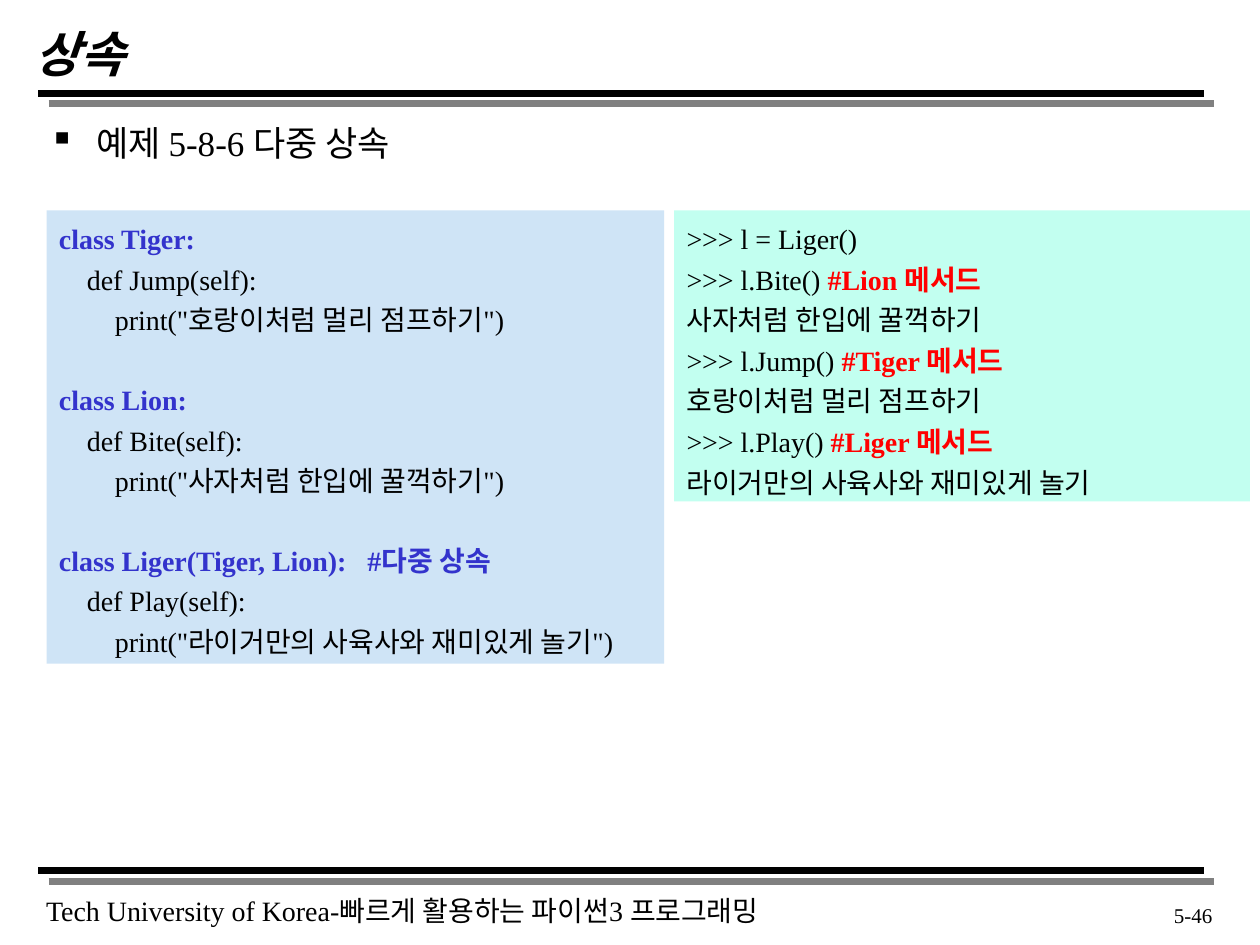
from lxml import etree
from pptx import Presentation
from pptx.dml.color import RGBColor
from pptx.enum.shapes import MSO_CONNECTOR, MSO_SHAPE
from pptx.enum.text import MSO_ANCHOR, PP_ALIGN
from pptx.oxml import parse_xml
from pptx.oxml.ns import nsdecls, qn
from pptx.util import Cm, Pt

BLACK = RGBColor(0x00, 0x00, 0x00)
BLUE = RGBColor(0x33, 0x33, 0xCC)
RED = RGBColor(0xFF, 0x00, 0x00)
PALE_BLUE = RGBColor(0xCF, 0xE4, 0xF6)
PALE_GREEN = RGBColor(0xC2, 0xFF, 0xF0)
FONT = "Times New Roman"
STRAIGHT, RECTANGLE = MSO_CONNECTOR.STRAIGHT, MSO_SHAPE.RECTANGLE
TOP, MIDDLE = MSO_ANCHOR.TOP, MSO_ANCHOR.MIDDLE
LEFT, RIGHT = PP_ALIGN.LEFT, PP_ALIGN.RIGHT

LINE_GAP = Pt(4)
BLOCK_GAP = Pt(26.3)

# Each block is a list of lines, each line a list of (text, highlighted).
CLASS_BLOCKS = [
    [[("class Tiger:", True)],
     [("    def Jump(self):", False)],
     [('        print("호랑이처럼 멀리 점프하기")', False)]],
    [[("class Lion:", True)],
     [("    def Bite(self):", False)],
     [('        print("사자처럼 한입에 꿀꺽하기")', False)]],
    [[("class Liger(Tiger, Lion):   #다중 상속", True)],
     [("    def Play(self):", False)],
     [('        print("라이거만의 사육사와 재미있게 놀기")', False)]],
]
SESSION_BLOCKS = [
    [[(">>> l = Liger()", False)],
     [(">>> l.Bite() ", False), ("#Lion 메서드", True)],
     [("사자처럼 한입에 꿀꺽하기", False)],
     [(">>> l.Jump() ", False), ("#Tiger 메서드", True)],
     [("호랑이처럼 멀리 점프하기", False)],
     [(">>> l.Play() ", False), ("#Liger 메서드", True)],
     [("라이거만의 사육사와 재미있게 놀기", False)]],
]


def add_span(para, text, size=16, color=BLACK, bold=False, italic=False):
    span = para.add_run()
    span.text = text
    font = span.font
    font.name, font.size = FONT, Pt(size)
    font.bold, font.italic = bold, italic
    font.color.rgb = color


def add_label(page, box, text, anchor=TOP, align=LEFT, wrap=True, **style):
    label = page.shapes.add_textbox(*box)
    frame = label.text_frame
    frame.word_wrap = wrap
    frame.vertical_anchor = anchor
    para = frame.paragraphs[0]
    para.alignment = align
    add_span(para, text, **style)
    return label


def add_bullet_line(page, box, text):
    label = add_label(page, box, text, size=20)
    label.text_frame.margin_top = Cm(0.2)
    properties = label.text_frame.paragraphs[0]._p.get_or_add_pPr()
    properties.set("marL", str(Cm(0.95)))
    properties.set("indent", str(-Cm(0.95)))
    etree.SubElement(properties, qn("a:buChar")).set("char", "▪")


def add_double_rule(page, left, top, width):
    """Draw a thick black rule with a hard grey shadow below it."""
    rule = page.shapes.add_connector(STRAIGHT, left, top, left + width, top)
    rule.line.color.rgb = BLACK
    rule.line.width = Pt(4)
    rule._element.spPr.append(parse_xml(
        f'<a:effectLst {nsdecls("a")}>'
        f'<a:outerShdw dist="{Pt(8.5)}" dir="2700000" algn="ctr" rotWithShape="0">'
        '<a:srgbClr val="808080"/></a:outerShdw></a:effectLst>'))


def add_code_panel(page, box, blocks, fill, highlight):
    panel = page.shapes.add_shape(RECTANGLE, *box)
    panel.shadow.inherit = False
    panel.fill.solid()
    panel.fill.fore_color.rgb = fill
    panel.line.fill.background()
    frame = panel.text_frame
    frame.word_wrap = True
    frame.vertical_anchor = TOP
    frame.margin_top = Cm(0.23)
    para = None
    for block in blocks:
        for index, line in enumerate(block):
            if para is None:
                para = frame.paragraphs[0]
            else:
                para = frame.add_paragraph()
                para.space_before = LINE_GAP if index else BLOCK_GAP
            para.alignment = LEFT
            for text, marked in line:
                add_span(para, text, bold=marked,
                         color=highlight if marked else BLACK)


def add_header(page, left, top, width):
    add_label(page, (left - Cm(0.33), top, Cm(21.6), Cm(1.27)), "상속",
              anchor=MIDDLE, size=28, bold=True, italic=True)
    add_double_rule(page, left, top + Cm(1.45), width)


def add_footer(page, left, top, width):
    add_double_rule(page, left, top, width)
    add_label(page, (left - Cm(0.09), top + Cm(0.33), Cm(15.77), Cm(0.94)),
              "Tech University of Korea-빠르게 활용하는 파이썬3 프로그래밍", wrap=False)
    add_label(page, (left + width - Cm(1.69), top + Cm(0.51), Cm(2.11), Cm(0.81)),
              "5-46", align=RIGHT, size=12)


def main():
    deck = Presentation()
    deck.slide_width, deck.slide_height = Cm(25.4), Cm(19.05)
    page = deck.slides.add_slide(deck.slide_layouts[6])
    rule_left, rule_width = Cm(0.77), Cm(23.5)
    panel_top = Cm(4.24)

    add_header(page, rule_left, Cm(0.43), rule_width)
    add_bullet_line(page, (Cm(0.74), Cm(2.24), Cm(23.83), Cm(14.3)),
                    "예제 5-8-6 다중 상속")
    add_code_panel(page, (Cm(0.94), panel_top, Cm(12.45), Cm(9.14)),
                   CLASS_BLOCKS, PALE_BLUE, BLUE)
    add_code_panel(page, (Cm(13.59), panel_top, Cm(11.61), Cm(5.87)),
                   SESSION_BLOCKS, PALE_GREEN, RED)
    add_footer(page, rule_left, Cm(17.55), rule_width)
    deck.save("out.pptx")


if __name__ == "__main__":
    main()
